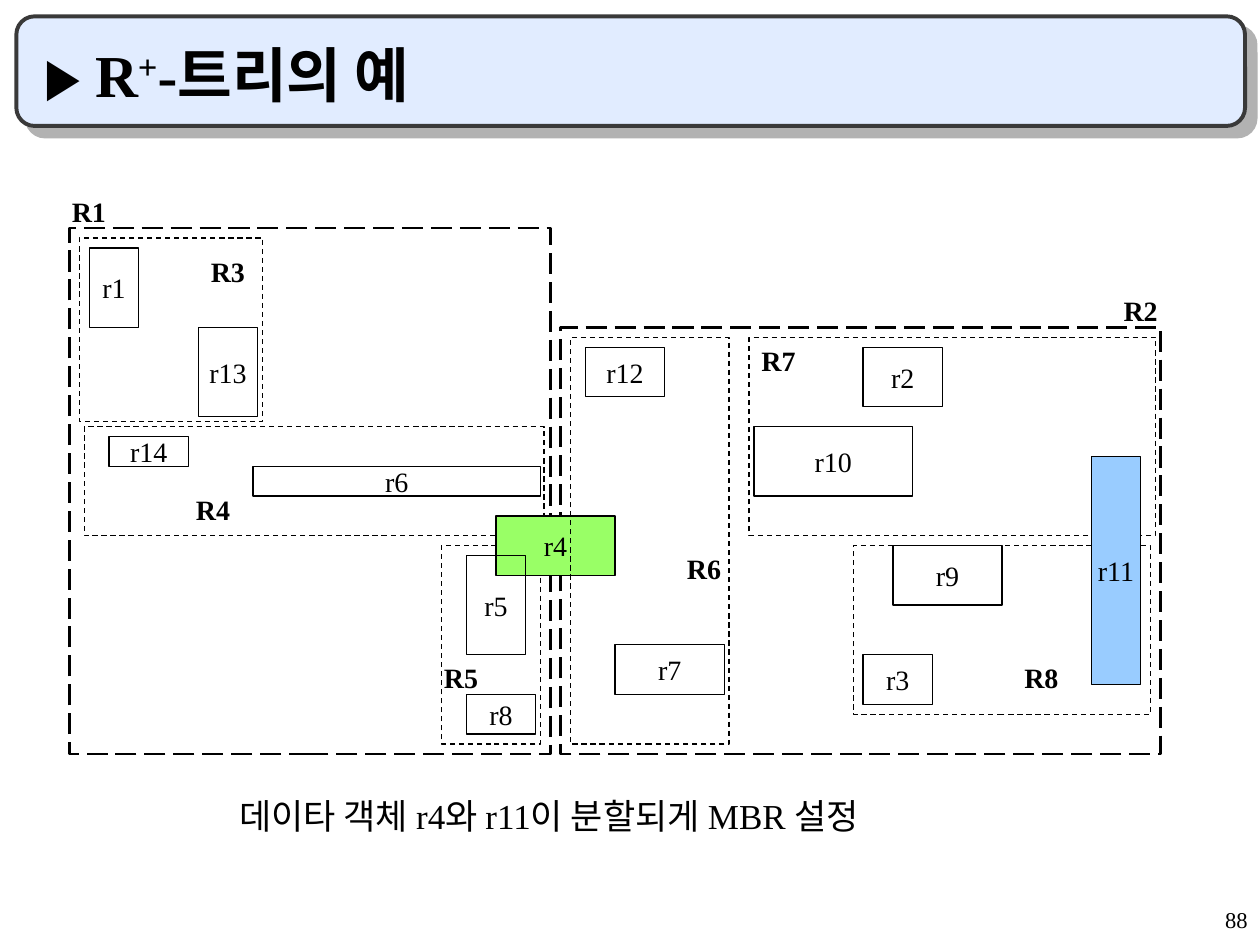
import lxml.etree
import pptx
import pptx.dml.color
import pptx.enum.dml
import pptx.enum.shapes
import pptx.enum.text
import pptx.oxml
import pptx.oxml.ns
import pptx.util

ALIGN = pptx.enum.text.PP_ALIGN
ANCHOR = pptx.enum.text.MSO_ANCHOR
DASH = pptx.enum.dml.MSO_LINE
SHAPE = pptx.enum.shapes.MSO_SHAPE

# Places are columns and rows of a 1 mm grid: left, top, width, height.
NODE_REGIONS = [(14, 46, 97, 106), (113, 66, 121, 86)]
LEAF_REGIONS = [
    (16, 48, 37, 37), (17, 86, 92.7, 22), (151, 68, 82, 40),
    (89, 110, 20, 40), (172, 110, 60, 34),
]
FRONT_LEAF_REGION = (115, 68, 32, 82)
OBJECTS = {
    "r1": (18, 50, 10, 16), "r13": (40, 66, 12, 18),
    "r14": (22, 88, 16, 6), "r6": (51, 94, 58, 6),
    "r4": (100, 104, 24, 12), "r5": (94, 112, 12, 20),
    "r8": (94, 140, 14, 8), "r7": (124, 130, 22, 10),
    "r12": (118, 70, 16, 10), "r10": (152, 86, 32, 14),
    "r11": (220, 92, 10, 46), "r3": (174, 132, 14, 10),
    "r9": (180, 110, 22, 12), "r2": (174, 70, 16, 12),
}
SPLIT_OBJECT_FILLS = {"r4": "99FF66", "r11": "99CCFF"}
REGION_LABELS = {
    "R1": (12, 38), "R2": (224, 58), "R3": (40, 50), "R4": (37, 98),
    "R7": (151, 68), "R6": (136, 110), "R8": (204, 132), "R5": (87, 132),
}


def color(hex_string):
    return pptx.dml.color.RGBColor.from_string(hex_string)


class Deck:
    font_name = "Times New Roman"
    ink = "000000"

    def __init__(self):
        self.presentation = pptx.Presentation()
        self.presentation.slide_width = pptx.util.Inches(10)
        self.presentation.slide_height = pptx.util.Inches(7.5)
        self.slide = self.presentation.slides.add_slide(
            self.presentation.slide_layouts[6])

    def box(self, place, line_width, fill=None, dash=None, line=None, kind=SHAPE.RECTANGLE):
        shape = self.slide.shapes.add_shape(kind, *map(pptx.util.Mm, place))
        shape.shadow.inherit = False
        if fill:
            shape.fill.solid()
            shape.fill.fore_color.rgb = color(fill)
        else:
            shape.fill.background()
        shape.line.color.rgb = color(line or self.ink)
        shape.line.width = pptx.util.Pt(line_width)
        if dash:
            shape.line.dash_style = dash
        return shape

    def set_text(self, shape, text, size, bold=False, align=ALIGN.LEFT,
                 anchor=ANCHOR.TOP, wrap=True):
        """Fill the shape with one styled paragraph and return it."""
        frame = shape.text_frame
        frame.word_wrap = wrap
        frame.vertical_anchor = anchor
        paragraph = frame.paragraphs[0]
        paragraph.text = text
        paragraph.alignment = align
        paragraph.font.name = self.font_name
        paragraph.font.size = pptx.util.Pt(size)
        paragraph.font.bold = bold
        paragraph.font.color.rgb = color(self.ink)
        return paragraph

    def text(self, place, text, size, **style):
        shape = self.slide.shapes.add_textbox(*map(pptx.util.Mm, place))
        return self.set_text(shape, text, size, **style)

    def region(self, place, line_width, dash):
        self.box(place, line_width, dash=dash)

    def data_object(self, name, place):
        shape = self.box(place, 0.75, fill=SPLIT_OBJECT_FILLS.get(name))
        self.set_text(shape, name, 16, align=ALIGN.CENTER, anchor=ANCHOR.MIDDLE, wrap=False)

    def header(self):
        bar = self.box((3.3, 3.3, 247.7, 22.1), 2.25, fill="E1ECFF",
                       line="393939", kind=SHAPE.ROUNDED_RECTANGLE)
        self.hard_shadow(bar, "B2B2B2", 8.5)
        title = self.text((6.35, 6.35, 239.3, 17), "", 34, bold=True, anchor=ANCHOR.BOTTOM)
        marker, letter, plus, rest = [title.add_run() for _ in range(4)]
        marker.text, letter.text, plus.text, rest.text = "▶ ", "R", "+", "-트리의 예"
        marker.font.size = pptx.util.Pt(32)
        plus._r.get_or_add_rPr().set("baseline", "30000")

    def hard_shadow(self, shape, hex_string, distance):
        """Cast an unblurred shadow down and to the right."""
        effects = shape._element.spPr.find(pptx.oxml.ns.qn("a:effectLst"))
        shadow = lxml.etree.SubElement(
            effects, pptx.oxml.ns.qn("a:outerShdw"), blurRad="0",
            dist=str(pptx.util.Pt(distance)), dir="2700000", algn="ctr", rotWithShape="0")
        lxml.etree.SubElement(shadow, pptx.oxml.ns.qn("a:srgbClr"), val=hex_string)

    def caption(self, place, text):
        paragraph = self.text(place, text, 20)
        paragraph.line_spacing = 0.7
        properties = paragraph._p.get_or_add_pPr()
        properties.set("marL", str(pptx.util.Inches(0.81)))
        properties.set("indent", str(pptx.util.Inches(-0.31)))

    def page_number(self, place, number):
        self.text(place, number, 12.9, align=ALIGN.RIGHT).line_spacing = 0.9


def main():
    deck = Deck()
    deck.header()
    deck.page_number((201.2, 182.1, 52.8, 8.4), "88")
    for place in NODE_REGIONS:
        deck.region(place, 1.5, DASH.LONG_DASH)
    for place in LEAF_REGIONS:
        deck.region(place, 0.75, DASH.DASH)
    for name, place in OBJECTS.items():
        deck.data_object(name, place)
    deck.region(FRONT_LEAF_REGION, 0.75, DASH.DASH)
    for name, corner in REGION_LABELS.items():
        deck.text((*corner, 12, 9.4), name, 16, bold=True)
    deck.caption((33, 161.3, 160, 8.6), "데이타 객체 r4와 r11이 분할되게 MBR 설정")
    deck.presentation.save("out.pptx")


if __name__ == "__main__":
    main()
